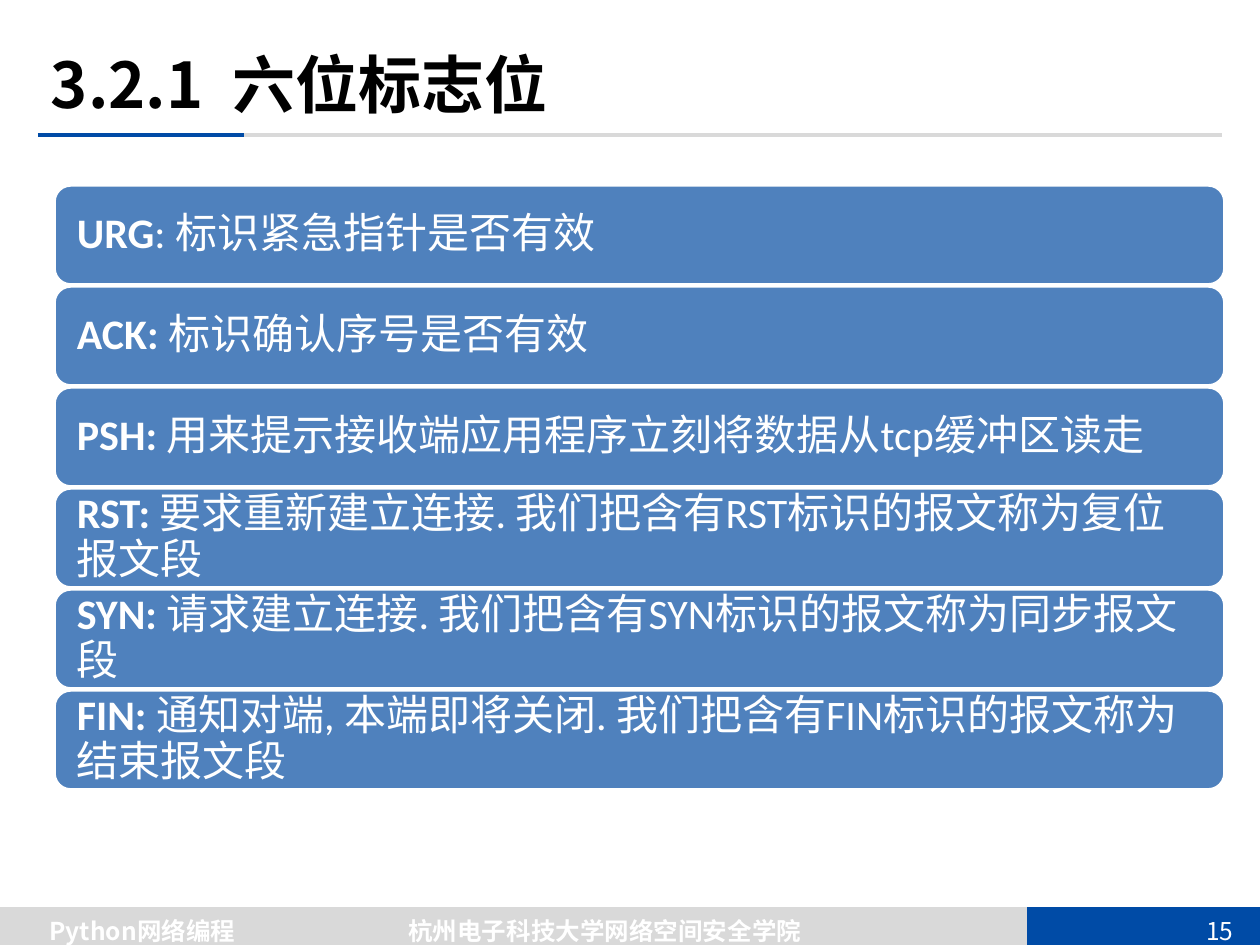
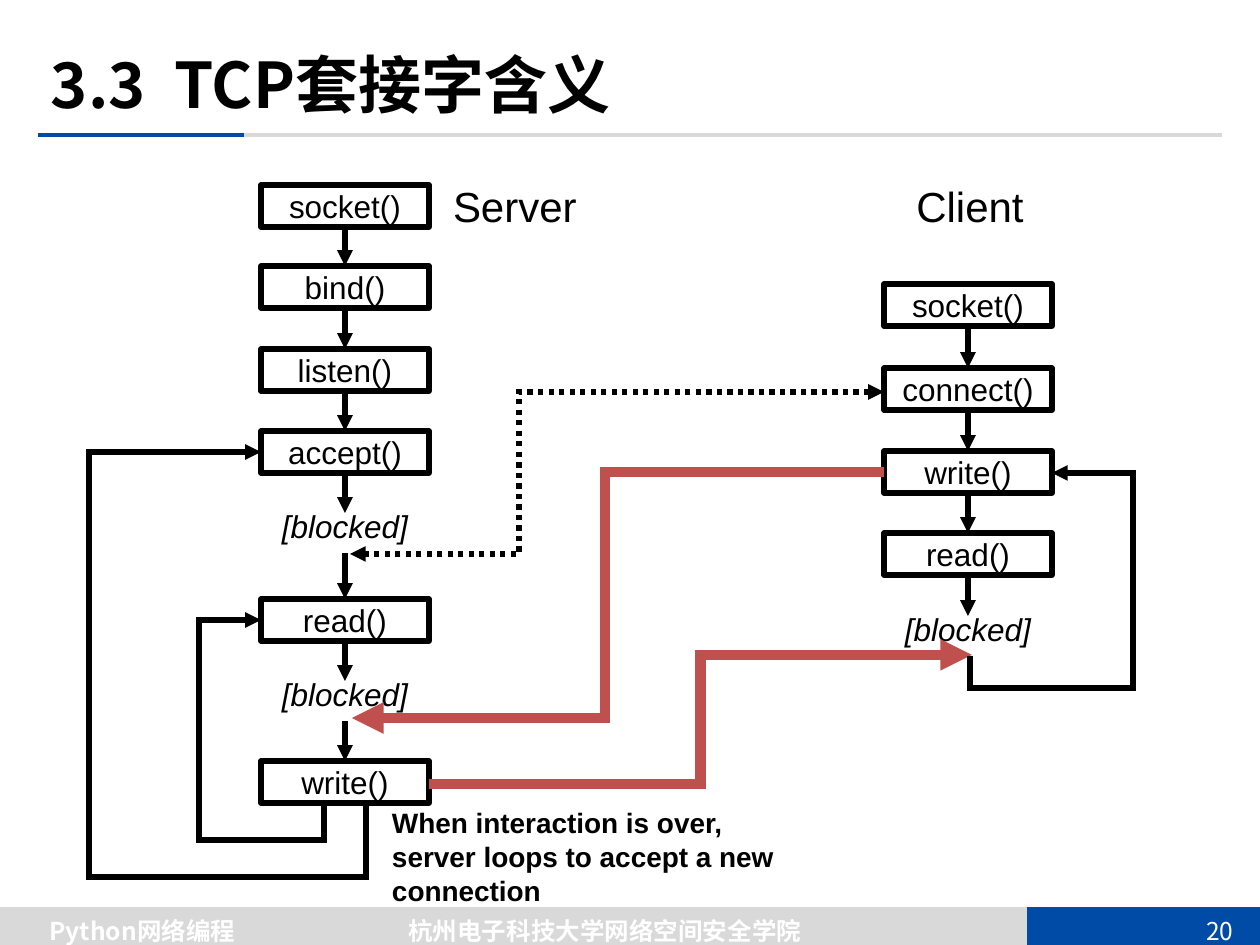
from pptx import Presentation
from pptx.dml.color import RGBColor
from pptx.enum.dml import MSO_LINE
from pptx.enum.lang import MSO_LANGUAGE_ID
from pptx.enum.shapes import MSO_CONNECTOR, MSO_SHAPE
from pptx.enum.text import MSO_ANCHOR, PP_ALIGN
from pptx.oxml.ns import qn
from pptx.util import Inches, Pt
from lxml.etree import SubElement

PX = 914400 // 126  # EMU per pixel
BLACK = RGBColor(0x00, 0x00, 0x00)
WHITE = RGBColor(0xFF, 0xFF, 0xFF)
GREY = RGBColor(0xD9, 0xD9, 0xD9)
NAVY = RGBColor(0x00, 0x4B, 0xA6)
BLUE = RGBColor(0x4F, 0x81, 0xBD)
RED = RGBColor(0xC0, 0x50, 0x4D)
CJK, BODY, CODE = "Noto Sans CJK SC", "Calibri", "Arial"


def add_text(s, text, box, lead="", shape=None, fill=None, line=None, line_pt=3,
             font=CODE, size=18, color=BLACK, bold=False, italic=False,
             align=PP_ALIGN.CENTER, anchor=MSO_ANCHOR.MIDDLE, inset=(13, 6), spacing=None):
    """Text box or preset shape; lead is a bold opening before the text."""
    x, y, w, h = [v * PX for v in box]
    if shape is None:
        sp = s.shapes.add_textbox(x, y, w, h)
    else:
        sp = s.shapes.add_shape(shape, x, y, w, h)
        sp.shadow.inherit = False
        sp.line.color.rgb = line
        sp.line.width = Pt(line_pt)
        if fill is None:
            sp.fill.background()
        else:
            sp.fill.solid()
            sp.fill.fore_color.rgb = fill
    tf = sp.text_frame
    tf.word_wrap = True
    tf.vertical_anchor = anchor
    tf.margin_left = tf.margin_right = inset[0] * PX
    tf.margin_top = tf.margin_bottom = inset[1] * PX
    p = tf.paragraphs[0]
    p.alignment = align
    p.line_spacing = spacing
    for part, heavy in ((lead, True), (text, bold)):
        if part:
            r = p.add_run()
            r.text = part
            f = r.font
            f.name, f.size, f.bold, f.italic = font, Pt(size), heavy, italic
            f.color.rgb = color
            f.language_id = MSO_LANGUAGE_ID.SIMPLIFIED_CHINESE
            SubElement(r._r.get_or_add_rPr(), qn("a:ea"), typeface=font)
    return sp


def add_line(s, points, color=BLACK, width=3, kind=MSO_CONNECTOR.STRAIGHT,
             head=False, tail=False, dash=None):
    """Connector between two points, or an open outline through more."""
    if len(points) == 2:
        (x1, y1), (x2, y2) = points
        sp = s.shapes.add_connector(kind, x1 * PX, y1 * PX, x2 * PX, y2 * PX)
        SubElement(sp._element.spPr, qn("a:effectLst"))
    else:
        fb = s.shapes.build_freeform(*points[0], scale=PX)
        fb.add_line_segments(points[1:], close=False)
        sp = fb.convert_to_shape()
        sp.fill.background()
        sp.shadow.inherit = False
    sp.line.color.rgb = color
    sp.line.width = Pt(width)
    if dash:
        sp.line.dash_style = dash
    ln = sp.line._get_or_add_ln()
    SubElement(ln, qn("a:miter"), lim="800000")
    for tag, wanted in (("a:headEnd", head), ("a:tailEnd", tail)):
        if wanted:
            SubElement(ln, qn(tag), type="triangle")
    return sp


prs = Presentation()
prs.slide_width, prs.slide_height = Inches(10), Inches(7.5)

# Shared frame: footer band, title rule, footer texts, title
slides = []
for title, number in (("3.2.1  六位标志位", "15"), ("3.3  TCP套接字含义", "20")):
    s = prs.slides.add_slide(prs.slide_layouts[6])
    slides.append(s)
    for x1, x2, y, color, width in ((1255, 0, 929, GREY, 25), (1260, 1027, 929, NAVY, 25),
                                    (38, 1222, 135, GREY, 2.25), (38, 244, 135, NAVY, 2.25)):
        add_line(s, [(x1, y), (x2, y)], color, width)
    for text, x, w, bold in (("Python网络编程", -5, 295, True), (number, 1185, 70, False),
                             ("杭州电子科技大学网络空间安全学院", 322, 566, True)):
        add_text(s, text, (x, 909, w, 43), font=CJK, size=14, color=WHITE, bold=bold)
    add_text(s, title, (38, 35, 1159, 97), font=CJK, size=36, bold=True, align=PP_ALIGN.LEFT)
flags_slide, socket_slide = slides

# The six flags
FLAGS = (
    ("URG", ": 标识紧急指针是否有效"),
    ("ACK: ", "标识确认序号是否有效"),
    ("PSH: ", "用来提示接收端应用程序立刻将数据从tcp缓冲区读走"),
    ("RST: ", "要求重新建立连接. 我们把含有RST标识的报文称为复位报文段"),
    ("SYN: ", "请求建立连接. 我们把含有SYN标识的报文称为同步报文段"),
    ("FIN: ", "通知对端, 本端即将关闭. 我们把含有FIN标识的报文称为结束报文段"),
)
for i, (flag, meaning) in enumerate(FLAGS):
    add_text(flags_slide, meaning, (54, 185 + 101 * i, 1171, 100), lead=flag,
             shape=MSO_SHAPE.ROUNDED_RECTANGLE, fill=BLUE, line=WHITE, line_pt=2,
             font=BODY, size=24, color=WHITE, align=PP_ALIGN.LEFT, inset=(18, 0), spacing=0.9)

# Server and client call chains, each step joined to the one before
SERVER = (("socket()", 185), ("bind()", 266), ("listen()", 349), ("accept()", 431),
          ("[blocked]", 513), ("read()", 599), ("[blocked]", 681), ("write()", 761))
CLIENT = (("socket()", 284), ("connect()", 368), ("write()", 451), ("read()", 533),
          ("[blocked]", 616))
CALL_W, CALL_H, BLOCKED_H = 168, 42, 40
s = socket_slide
for mid, steps in ((345, SERVER), (968, CLIENT)):
    previous, bottom = None, None
    for name, y in steps:
        blocked = name == "[blocked]"
        if blocked:
            add_text(s, name, (mid - 131, y - 12, 262, 50), italic=True, anchor=MSO_ANCHOR.TOP)
            call = None
        else:
            call = add_text(s, name, (mid - CALL_W // 2, y, CALL_W, CALL_H),
                            shape=MSO_SHAPE.RECTANGLE, line=BLACK, inset=(0, 0))
        if bottom:
            arrow = add_line(s, [(mid, bottom), (mid, y)], tail=True)
            if previous:
                arrow.begin_connect(previous, 2)
            if call:
                arrow.end_connect(call, 0)
        previous, bottom = call, y + (BLOCKED_H if blocked else CALL_H)

# Connection set-up, request and reply
add_line(s, [(884, 392), (519, 392), (519, 554), (350, 554)],
         head=True, tail=True, dash=MSO_LINE.ROUND_DOT)
add_line(s, [(884, 472), (605, 472), (605, 718), (352, 718)], RED, 6, tail=True)
add_line(s, [(429, 784), (972, 655)], RED, 6, kind=MSO_CONNECTOR.ELBOW, tail=True)

# Loops back to read, accept and the client's write
add_line(s, [(324, 804), (324, 840), (199, 840), (199, 620), (261, 620)], tail=True)
add_line(s, [(366, 804), (366, 877), (89, 877), (89, 452), (261, 452)], tail=True)
add_line(s, [(970, 656), (970, 688), (1133, 688), (1133, 473), (1052, 473)], tail=True)

# Headings and remark
add_text(s, "Server", (440, 175, 284, 63), size=24, align=PP_ALIGN.LEFT, anchor=MSO_ANCHOR.TOP)
add_text(s, "Client", (828, 175, 284, 63), size=24, anchor=MSO_ANCHOR.TOP)
add_text(s, "When interaction is over, server loops to accept a new connection",
         (379, 800, 420, 115), size=16, bold=True, align=PP_ALIGN.LEFT, anchor=MSO_ANCHOR.TOP)

prs.save("out.pptx")
